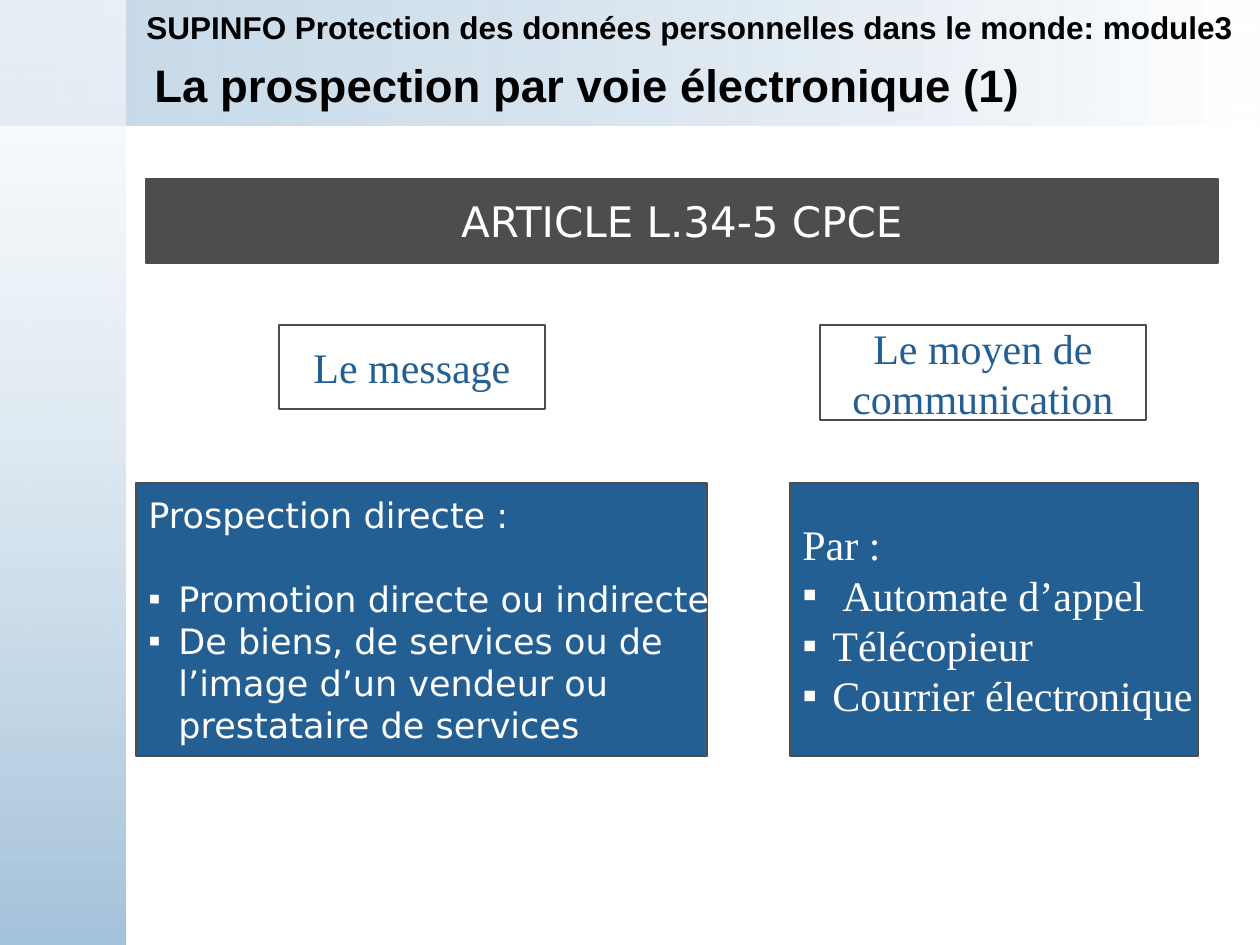
from lxml.etree import SubElement
from pptx import Presentation
from pptx.dml.color import RGBColor
from pptx.enum.shapes import MSO_SHAPE as SHAPE
from pptx.enum.text import MSO_ANCHOR as ANCHOR, PP_ALIGN as ALIGN
from pptx.oxml.ns import qn
from pptx.util import Inches, Pt

WHITE = RGBColor(0xFF, 0xFF, 0xFF)
BLACK = RGBColor(0, 0, 0)
SKY = RGBColor(0xA5, 0xC3, 0xDB)
BLUE = RGBColor(0x24, 0x5F, 0x94)
GREY = RGBColor(0x4D, 0x4D, 0x4D)
SANS, SERIF = "DejaVu Sans", "Times New Roman"
INDENT = 30


def px(n):
    return int(n * Inches(1) / 126)


def add_rect(s, box):
    sp = s.shapes.add_shape(SHAPE.RECTANGLE, *map(px, box))
    sp.shadow.inherit = False
    return sp


def style(p, font, size, color, bold=False):
    for r in p.runs:
        r.font.name, r.font.size, r.font.bold = font, Pt(size), bold
        r.font.color.rgb = color


def set_bullet(p, indent):
    pPr = p._p.get_or_add_pPr()
    pPr.set("marL", str(px(indent)))
    pPr.set("indent", str(-px(indent)))
    SubElement(pPr, qn("a:buFont")).set("typeface", "Arial")
    SubElement(pPr, qn("a:buChar")).set("char", "▪")


def gradient_band(s, box, angle, stops):
    sp = add_rect(s, box)
    sp.line.fill.background()
    sp.fill.gradient()
    sp.fill.gradient_angle = angle
    for stop, (color, _) in zip(sp.fill.gradient_stops, stops):
        stop.color.rgb = color
    # Opacity of each stop
    for clr, (_, opacity) in zip(sp._element.spPr.iter(qn("a:srgbClr")), stops):
        SubElement(clr, qn("a:alpha")).set("val", str(opacity * 1000))


def heading(s, box, text, size, anchor):
    tf = s.shapes.add_textbox(*map(px, box)).text_frame
    tf.word_wrap = True
    tf.vertical_anchor = anchor
    tf.text = text
    style(tf.paragraphs[0], "Arial", size, BLACK, bold=True)


def framed_box(s, box, fill):
    sp = add_rect(s, box)
    if fill is None:
        sp.fill.background()
    else:
        sp.fill.solid()
        sp.fill.fore_color.rgb = fill
    sp.line.color.rgb = GREY
    sp.line.width = Pt(0.75)
    tf = sp.text_frame
    tf.word_wrap = False
    tf.vertical_anchor = ANCHOR.MIDDLE
    return tf


def label(s, box, text, font, color, fill=None):
    tf = framed_box(s, box, fill)
    p = tf.paragraphs[0]
    p.text = text
    p.alignment = ALIGN.CENTER
    style(p, font, 24, color)


def bullet_panel(s, box, intro, items, font, size, gap=0):
    """Intro line, then (text, indent) bullets; gap is the space between, in pt."""
    tf = framed_box(s, box, BLUE)
    tf.text = "\n".join([intro] + [text for text, _ in items])
    for p in tf.paragraphs:
        p.alignment = ALIGN.LEFT
        style(p, font, size, WHITE)
    bullets = tf.paragraphs[1:]
    if gap:
        bullets[0].space_before = Pt(gap)
    for p, (_, indent) in zip(bullets, items):
        set_bullet(p, indent)


def main():
    prs = Presentation()
    prs.slide_width, prs.slide_height = px(1260), px(945)
    s = prs.slides.add_slide(prs.slide_layouts[6])

    # Background bands
    gradient_band(s, (0, 0, 1260, 126), 0, [(SKY, 62), (WHITE, 100)])
    gradient_band(s, (0, 0, 126, 945), 270, [(WHITE, 59), (SKY, 100)])

    # Headings
    heading(s, (142, 53, 1065, 62), "La prospection par voie électronique (1)",
            26, ANCHOR.MIDDLE)
    heading(s, (134, 2, 1126, 50),
            "SUPINFO Protection des données personnelles dans le monde: module3",
            18, ANCHOR.TOP)

    # Article and its two branches
    label(s, (146, 179, 1072, 84), "ARTICLE L.34-5 CPCE", SANS, WHITE, GREY)
    label(s, (279, 325, 266, 84), "Le message", SERIF, BLUE)
    label(s, (820, 325, 326, 95), "Le moyen de\vcommunication", SERIF, BLUE)

    # Details of each branch
    bullet_panel(s, (136, 483, 571, 273), "Prospection directe :", [
        ("Promotion directe ou indirecte", INDENT),
        ("De biens, de services ou de\vl’image d’un vendeur ou\v"
         "prestataire de services", INDENT),
    ], SANS, 20, gap=24)
    bullet_panel(s, (790, 483, 408, 273), "Par :", [
        ("Automate d’appel", INDENT + 10),
        ("Télécopieur", INDENT),
        ("Courrier électronique", INDENT),
    ], SERIF, 24)

    prs.save("out.pptx")


if __name__ == "__main__":
    main()
